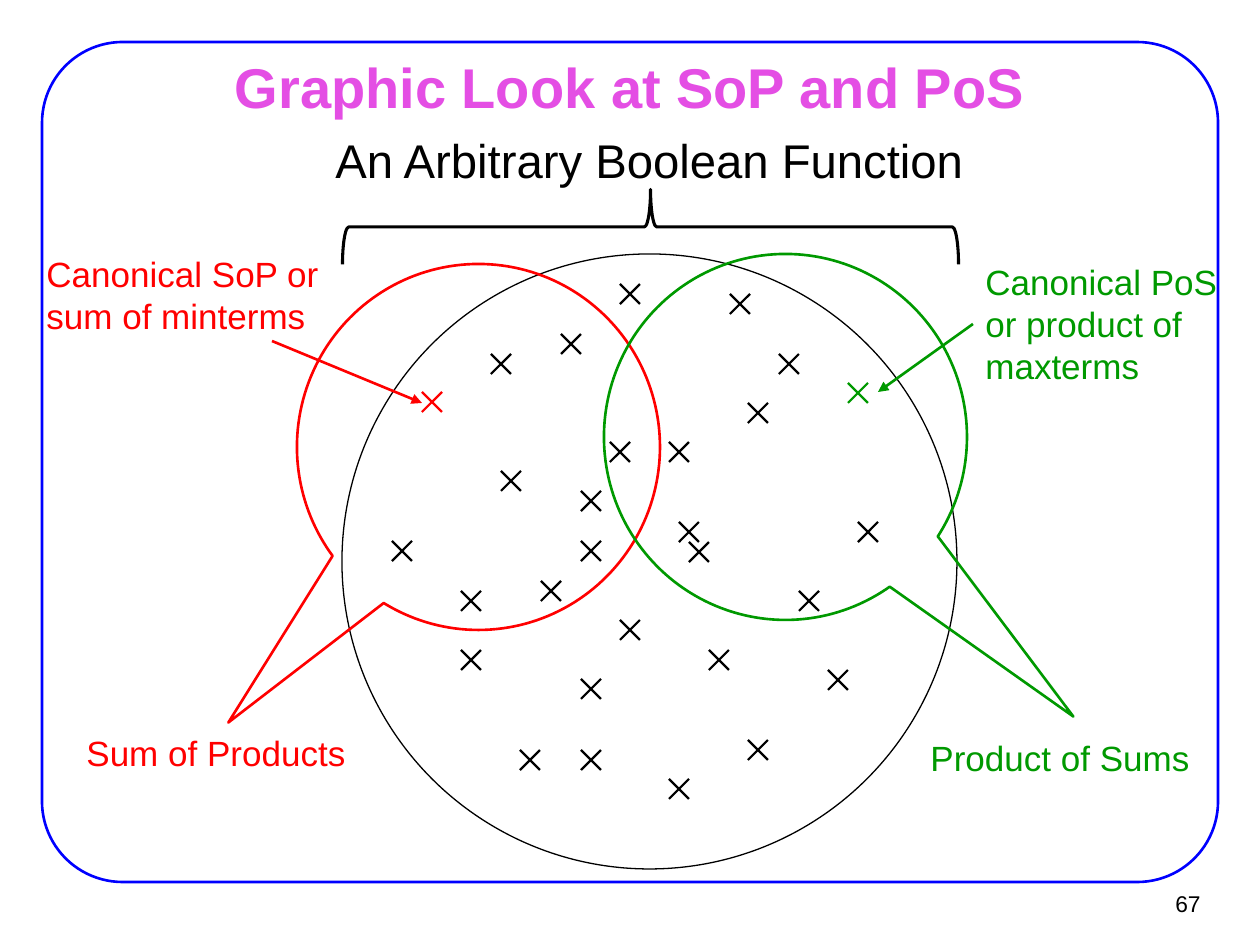
from lxml import etree
from pptx import Presentation
from pptx.dml.color import RGBColor
from pptx.enum.shapes import MSO_CONNECTOR, MSO_SHAPE
from pptx.enum.text import MSO_ANCHOR, MSO_AUTO_SIZE, PP_ALIGN
from pptx.oxml.ns import qn
from pptx.util import Pt

PX = 914400 / 126
FONT = "Arial"
BLACK = RGBColor(0, 0, 0)
WHITE = RGBColor(255, 255, 255)
RED = RGBColor(255, 0, 0)
GREEN = RGBColor(0, 0x99, 0)
BLUE = RGBColor(0, 0, 255)
PINK = RGBColor(0xE4, 0x4E, 0xE4)

MARK_RADIUS = 10
# Centres of the terms inside the function
BLACK_TERMS = [
    (571, 344), (620, 452), (630, 294), (591, 501), (789, 364), (591, 551),
    (630, 630), (511, 481), (551, 591), (471, 660), (591, 689), (530, 760),
    (719, 660), (591, 760), (679, 452), (809, 601), (689, 532), (758, 413),
    (402, 551), (868, 532), (679, 789), (758, 750), (838, 680), (501, 364),
    (699, 552), (740, 304), (471, 601),
]
MINTERM = (432, 402)
MAXTERM = (858, 393)


def emu(*lengths):
    return [round(length * PX) for length in lengths]


def write(frame, text, size, color, bold=False, align=PP_ALIGN.LEFT):
    frame.text = text
    for paragraph in frame.paragraphs:
        paragraph.alignment = align
        for run in paragraph.runs:
            run.font.name = FONT
            run.font.size = Pt(size)
            run.font.bold = bold
            run.font.color.rgb = color


def add_title(slide, text, box):
    title = slide.shapes.title
    title.left, title.top, title.width, title.height = emu(*box)
    frame = title.text_frame
    frame.auto_size = MSO_AUTO_SIZE.NONE
    frame.vertical_anchor = MSO_ANCHOR.MIDDLE
    write(frame, text, 32, PINK, bold=True, align=PP_ALIGN.CENTER)


def add_label(slide, text, box, size, color, align=PP_ALIGN.LEFT):
    frame = slide.shapes.add_textbox(*emu(*box)).text_frame
    frame.word_wrap = True
    write(frame, text, size, color, align=align)


def add_outline(slide, preset, box, color, width, adjustments=(), fill=None):
    outline = slide.shapes.add_shape(preset, *emu(*box))
    outline.shadow.inherit = False
    for index, value in enumerate(adjustments):
        outline.adjustments[index] = value
    if fill is None:
        outline.fill.background()
    else:
        outline.fill.solid()
        outline.fill.fore_color.rgb = fill
    outline.line.color.rgb = color
    outline.line.width = Pt(width)
    return outline


def add_line(slide, start, end, color, width, arrow=False):
    connector = slide.shapes.add_connector(MSO_CONNECTOR.STRAIGHT, *emu(*start, *end))
    connector.line.color.rgb = color
    connector.line.width = Pt(width)
    properties = connector._element.spPr
    if arrow:
        etree.SubElement(properties.find(qn("a:ln")), qn("a:tailEnd"), type="triangle")
    etree.SubElement(properties, qn("a:effectLst"))


def add_term(slide, center, color=BLACK):
    x, y = center
    r = MARK_RADIUS
    add_line(slide, (x - r, y - r), (x + r, y + r), color, 1.25)
    add_line(slide, (x + r, y - r), (x - r, y + r), color, 1.25)


def main():
    prs = Presentation()
    prs.slide_width, prs.slide_height = emu(1260, 945)
    slide = prs.slides.add_slide(prs.slide_layouts[5])

    # Frame, title and page number
    add_outline(slide, MSO_SHAPE.ROUNDED_RECTANGLE, (42, 42, 1176, 840), BLUE, 1.5, [0.096])
    add_title(slide, "Graphic Look at SoP and PoS", (15, 55, 1230, 62))
    add_label(slide, "67", (1137, 884, 76, 46), 13, BLACK, PP_ALIGN.RIGHT)

    # The function and its terms
    add_outline(slide, MSO_SHAPE.OVAL, (342, 254, 615, 615), BLACK, 0.75, fill=WHITE)
    for center in BLACK_TERMS:
        add_term(slide, center)
    add_term(slide, MINTERM, RED)
    add_term(slide, MAXTERM, GREEN)
    add_label(slide, "An Arbitrary Boolean Function", (323, 125, 687, 69), 27, BLACK)
    brace = add_outline(slide, MSO_SHAPE.LEFT_BRACE, (613, -81, 75, 616), BLACK, 1.75)
    brace.rotation = 90

    # Sum of products
    callout = MSO_SHAPE.OVAL_CALLOUT
    add_outline(slide, callout, (297, 264, 363, 366), RED, 1.5, [-0.689, 0.753])
    add_label(slide, "Sum of Products", (74, 725, 307, 55), 20, RED)
    add_label(slide, "Canonical SoP or\nsum of minterms", (34, 246, 310, 139), 20, RED)
    add_line(slide, (272, 341), (422, 403), RED, 1.5, arrow=True)

    # Product of sums
    add_outline(slide, callout, (604, 254, 363, 366), GREEN, 1.5, [0.793, 0.764])
    add_label(slide, "Product of Sums", (918, 730, 307, 55), 20, GREEN)
    add_label(slide, "Canonical PoS or product of maxterms", (973, 254, 287, 139), 20, GREEN)
    add_line(slide, (973, 324), (878, 392), GREEN, 1.5, arrow=True)

    prs.save("out.pptx")


if __name__ == "__main__":
    main()
